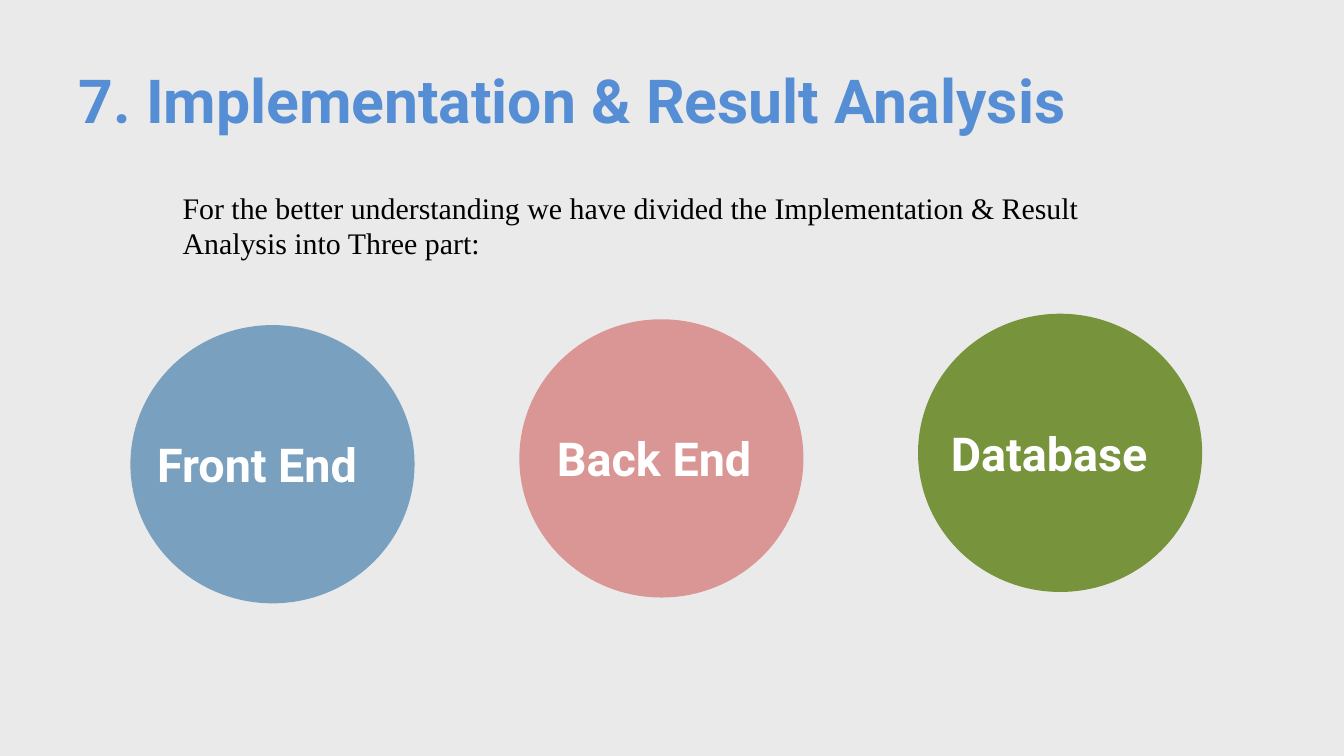
from pptx import Presentation
from pptx.dml.color import RGBColor as RGB
from pptx.enum.shapes import MSO_SHAPE as SHAPE
from pptx.enum.text import MSO_ANCHOR as ANCHOR, MSO_AUTO_SIZE as FIT, PP_ALIGN as ALIGN
from pptx.util import Cm, Pt

HUES = {"back": "EBEAEA", "title": "558ED5", "text": "000000", "label": "FFFFFF",
        "blue": "79A1BF", "pink": "D99694", "green": "77933C"}
WIDE, HIGH = 10.74, 10.52

# left, top, hue, label, label indent, label width
PARTS = [
    (4.93, 12.29, "blue", "Front End", 0.76, 9.19),
    (19.63, 12.07, "pink", "Back End", 1.17, 8.43),
    (34.7, 11.86, "green", "Database", 0.99, 9.09),
]


def color(name):
    return RGB.from_string(HUES[name])


def write(shape, *lines, size, hue, font="Roboto", bold=False, wrap=True, space=None):
    """Fill a shape with one left-aligned paragraph per line."""
    frame = shape.text_frame
    frame.auto_size = FIT.NONE
    frame.word_wrap = wrap
    frame.vertical_anchor = ANCHOR.MIDDLE
    frame.text = "\n".join(lines)
    for para in frame.paragraphs:
        para.alignment = ALIGN.LEFT
        para.line_spacing = space
        face = para.font
        face.name, face.size, face.bold = font, Pt(size), bold
        face.color.rgb = color(hue)


def add_title(slide, x, y, w, h):
    title = slide.shapes.title
    title.left, title.top, title.width, title.height = map(Cm, (x, y, w, h))
    write(title, "7. Implementation & Result Analysis",
          size=65, hue="title", bold=True, space=1.12)


def add_intro(slide, x, y, w, h):
    box = slide.shapes.add_textbox(Cm(x), Cm(y), Cm(w), Cm(h))
    write(box, "For the better understanding we have divided the Implementation & Result",
          "Analysis into Three part:",
          size=32, hue="text", font="Times New Roman", wrap=False)


def add_part(slide, x, y, hue, label, indent, width):
    """Draw a disc with its label set in from the left edge."""
    disc = slide.shapes.add_shape(SHAPE.OVAL, Cm(x), Cm(y), Cm(WIDE), Cm(HIGH))
    disc.shadow.inherit = False
    disc.fill.solid()
    disc.fill.fore_color.rgb = color(hue)
    disc.line.fill.background()
    box = slide.shapes.add_textbox(Cm(x + indent), Cm(y + 4.06), Cm(width), Cm(2.39))
    write(box, label, size=50, hue="label", bold=True)


def main():
    deck = Presentation()
    deck.slide_width, deck.slide_height = Cm(50.8), Cm(28.58)
    slide = deck.slides.add_slide(deck.slide_layouts[5])
    fill = slide.background.fill
    fill.solid()
    fill.fore_color.rgb = color("back")
    add_title(slide, 2.72, 2.03, 40.39, 3.1)
    add_intro(slide, 6.65, 7.01, 35, 3)
    for part in PARTS:
        add_part(slide, *part)
    deck.save("out.pptx")


if __name__ == "__main__":
    main()
